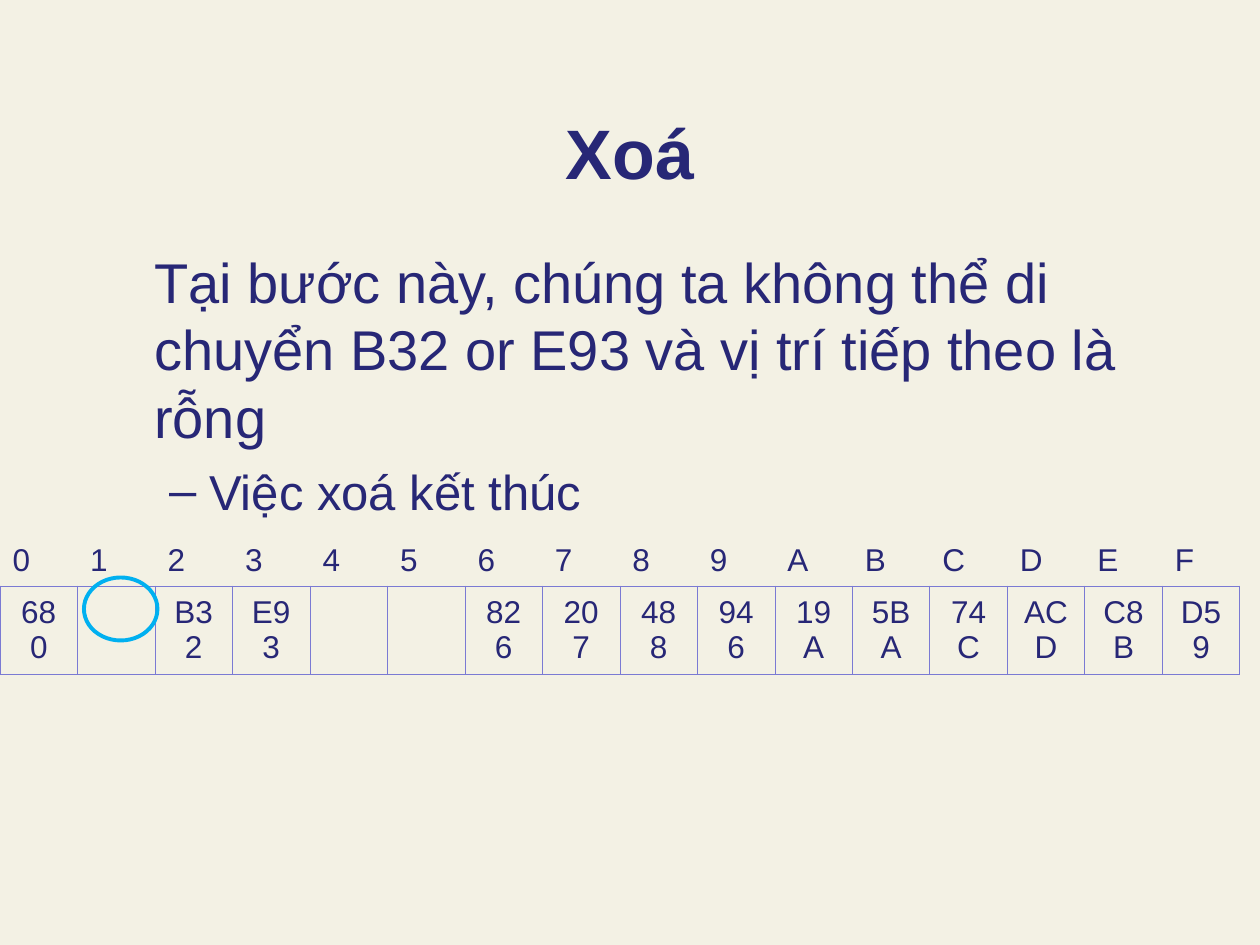
"""Build the hash table deletion slide."""
from lxml.etree import SubElement
from pptx import Presentation
from pptx.dml.color import RGBColor
from pptx.enum.shapes import MSO_SHAPE
from pptx.enum.text import MSO_ANCHOR as Anchor, MSO_AUTO_SIZE as AutoSize, PP_ALIGN as Align
from pptx.oxml.ns import qn
from pptx.util import Pt

INK = "272776"
BORDER = "7A7AD3"
NO_STYLE = "{2D5ABB26-0587-4C30-8999-92F81FD0307C}"
INDEXES = "0123456789ABCDEF"
KEYS = ["680", "", "B32", "E93", "", "", "826", "207",
        "488", "946", "19A", "5BA", "74C", "ACD", "C8B", "D59"]


def color(value):
    return RGBColor.from_string(value)


def style(para, size, bold=False):
    font = para.font
    font.name, font.size, font.bold = "Arial", Pt(size), bold
    font.color.rgb = color(INK)


deck = Presentation()
deck.slide_width, deck.slide_height = Pt(720), Pt(540)
page = deck.slides.add_slide(deck.slide_layouts[5])
page.background.fill.solid()
page.background.fill.fore_color.rgb = color("F3F1E4")

title = page.shapes.title
title.left, title.top, title.width, title.height = Pt(54), Pt(36), Pt(612), Pt(78)
frame = title.text_frame
frame.text = "Xoá"
frame.auto_size = AutoSize.NONE
frame.vertical_anchor = Anchor.BOTTOM
frame.paragraphs[0].alignment = Align.CENTER
style(frame.paragraphs[0], 40, bold=True)

body = page.shapes.add_textbox(Pt(54), Pt(138), Pt(612), Pt(336)).text_frame
body.word_wrap = True
statement = body.paragraphs[0]
statement.text = "Tại bước này, chúng ta không thể di chuyển B32 or E93 và vị trí tiếp theo là rỗng"
statement._p.get_or_add_pPr().set("marL", str(Pt(27)))
style(statement, 32)

result = body.add_paragraph()
result.text = "Việc xoá kết thúc"
result.level = 1
result.space_before = Pt(7)
props = result._p.get_or_add_pPr()
props.set("marL", str(Pt(58.5)))
props.set("indent", str(Pt(-22.5)))
bullet_color = SubElement(props, qn("a:buClr"))
SubElement(bullet_color, qn("a:srgbClr"), val=INK)
SubElement(props, qn("a:buFont"), typeface="Arial")
SubElement(props, qn("a:buChar"), char="–")
style(result, 28)

table = page.shapes.add_table(2, len(KEYS), 0, Pt(306), Pt(709), Pt(63)).table
table.first_row = table.horz_banding = False
table._tbl.tblPr.find(qn("a:tableStyleId")).text = NO_STYLE
for column in table.columns:
    column.width = Pt(44.3)

rows = [(INDEXES, 24, Align.LEFT, "B"), (KEYS, 39, Align.CENTER, "LRTB")]
for row, (values, height, alignment, sides) in enumerate(rows):
    table.rows[row].height = Pt(height)
    for col, value in enumerate(values):
        cell = table.cell(row, col)
        cell.text = value
        cell.vertical_anchor = Anchor.MIDDLE
        para = cell.text_frame.paragraphs[0]
        para.alignment = alignment
        style(para, 18)
        for side in sides:
            line = SubElement(cell._tc.get_or_add_tcPr(), qn(f"a:ln{side}"), w=str(Pt(0.45)))
            SubElement(SubElement(line, qn("a:solidFill")), qn("a:srgbClr"), val=BORDER)
        cell.fill.background()

marker = page.shapes.add_shape(MSO_SHAPE.OVAL, Pt(48), Pt(330), Pt(42), Pt(36))
marker.shadow.inherit = False
marker.fill.background()
marker.line.color.rgb = color("00B0F0")
marker.line.width = Pt(2.25)

deck.save("out.pptx")
